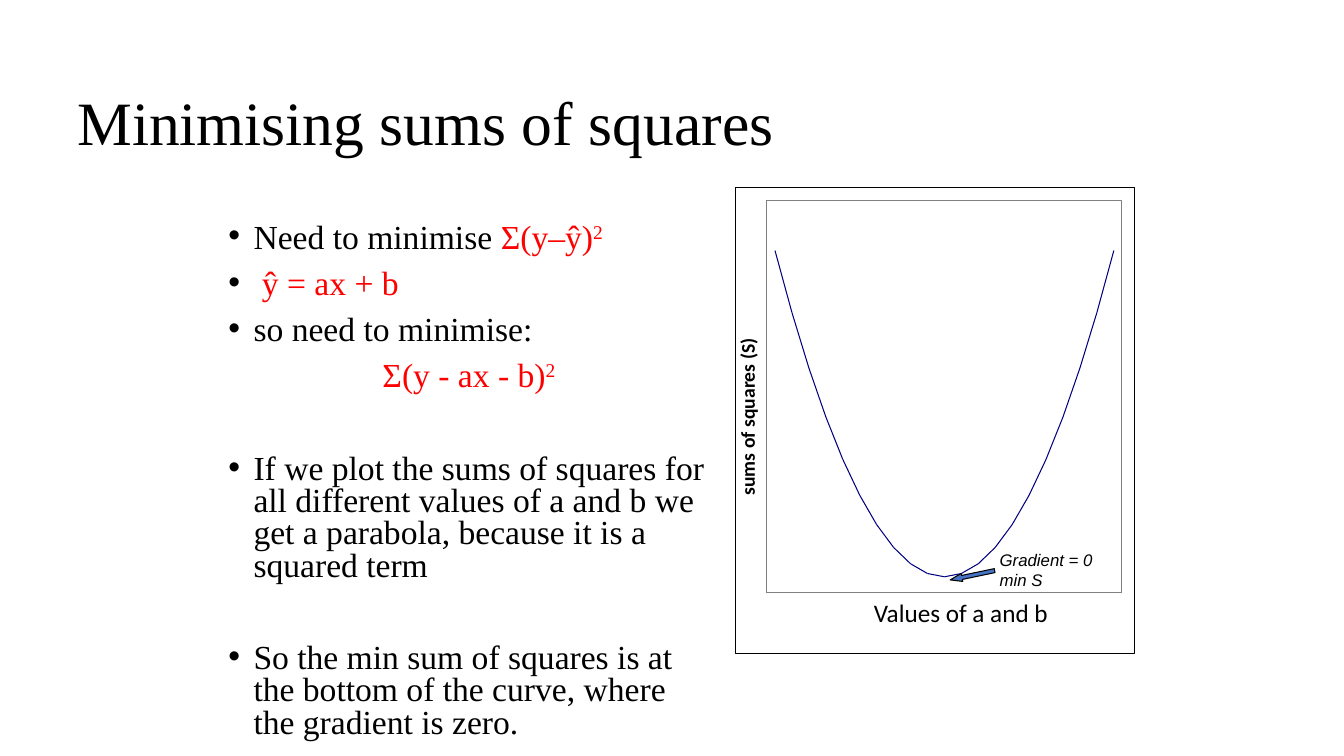
from dataclasses import dataclass
from itertools import pairwise

from lxml.etree import SubElement
from pptx import Presentation
from pptx.dml.color import RGBColor
from pptx.enum.shapes import MSO_CONNECTOR, MSO_SHAPE
from pptx.enum.text import MSO_ANCHOR, MSO_AUTO_SIZE, PP_ALIGN
from pptx.oxml.ns import qn
from pptx.shapes.autoshape import Shape
from pptx.slide import Slide
from pptx.text.text import TextFrame
from pptx.util import Pt

BLACK = RGBColor(0x00, 0x00, 0x00)
WHITE = RGBColor(0xFF, 0xFF, 0xFF)
RED = RGBColor(0xFF, 0x00, 0x00)
GREY = RGBColor(0x80, 0x80, 0x80)
NAVY = RGBColor(0x00, 0x00, 0x80)
BLUE = RGBColor(0x44, 0x72, 0xC4)

SERIF = "Times New Roman"
HALF_STEPS = 10
MINIMUM_X, MINIMUM_Y = 674.6, 412
STEP_X, CURVATURE = 12.1, 2.33


@dataclass(frozen=True)
class Box:
    left: float
    top: float
    width: float
    height: float

    def lengths(self) -> tuple[Pt, Pt, Pt, Pt]:
        return Pt(self.left), Pt(self.top), Pt(self.width), Pt(self.height)


@dataclass(frozen=True)
class Piece:
    text: str
    color: RGBColor = BLACK
    superscript: bool = False


@dataclass(frozen=True)
class Point:
    pieces: tuple[Piece, ...]
    space_before: float = 10
    bullet: bool = True


@dataclass(frozen=True)
class Label:
    box: Box
    lines: tuple[str, ...]
    font: str
    size: float
    bold: bool = False
    italic: bool = False
    rotation: float = 0
    wrap: bool = False
    inset_x: float = 0
    inset_y: float = 0


POINTS = (
    Point((Piece("Need to minimise "), Piece("Σ(y–ŷ)", RED), Piece("2", RED, True)), 0),
    Point((Piece(" "), Piece("ŷ = ax + b", RED))),
    Point((Piece("so need to minimise:"),)),
    Point((Piece("Σ(y - ax - b)", RED), Piece("2", RED, True)), bullet=False),
    Point((Piece("If we plot the sums of squares for all different values of a and b "
                 "we get a parabola, because it is a squared term"),), 43),
    Point((Piece("So the min sum of squares is at the bottom of the curve, "
                 "where the gradient is zero."),), 43),
)

AXIS_LABELS = (
    Label(Box(624.2, 427, 126, 21.6), ("Values of a and b",), "Calibri", 18),
    Label(Box(477.4, 288.7, 113, 17.3), ("sums of squares (S)",), "Calibri", 14,
          bold=True, rotation=270),
)
GRADIENT_LABEL = Label(Box(707, 388.8, 85, 36), ("Gradient = 0", "min S"), "Arial", 12,
                       italic=True, wrap=True, inset_x=7.2, inset_y=3.6)


def set_insets(frame: TextFrame, inset_x: float, inset_y: float) -> None:
    frame.margin_left = frame.margin_right = Pt(inset_x)
    frame.margin_top = frame.margin_bottom = Pt(inset_y)


def add_title(slide: Slide) -> None:
    title = slide.shapes.title
    title.left, title.top, title.width, title.height = Box(48, 36, 864, 108).lengths()
    title.text_frame.text = "Minimising sums of squares"
    title.text_frame.vertical_anchor = MSO_ANCHOR.MIDDLE
    paragraph = title.text_frame.paragraphs[0]
    paragraph.alignment = PP_ALIGN.LEFT
    paragraph.line_spacing = 0.9
    paragraph.font.name = SERIF
    paragraph.font.size = Pt(44)
    paragraph.font.color.rgb = BLACK


def add_points(slide: Slide) -> None:
    frame = slide.shapes.add_textbox(*Box(156, 156, 358, 369).lengths()).text_frame
    frame.word_wrap = True
    for index, point in enumerate(POINTS):
        paragraph = frame.add_paragraph() if index else frame.paragraphs[0]
        paragraph.line_spacing = 0.8
        paragraph.space_before = Pt(point.space_before)
        paragraph.alignment = PP_ALIGN.LEFT if point.bullet else PP_ALIGN.CENTER
        properties = paragraph._p.get_or_add_pPr()
        properties.set("marL", str(Pt(18)))
        properties.set("indent", str(Pt(-18)))
        if point.bullet:
            SubElement(properties, qn("a:buFont")).set("typeface", "Arial")
            SubElement(properties, qn("a:buChar")).set("char", "•")
        paragraph.font.name = SERIF
        paragraph.font.size = Pt(24)
        for piece in point.pieces:
            run = paragraph.add_run()
            run.text = piece.text
            run.font.color.rgb = piece.color
            if piece.superscript:
                run._r.get_or_add_rPr().set("baseline", "30000")


def add_outlined(slide: Slide, kind: MSO_SHAPE, box: Box, line: RGBColor,
                 width: float, fill: RGBColor | None = None) -> Shape:
    shape = slide.shapes.add_shape(kind, *box.lengths())
    shape.shadow.inherit = False
    if fill is None:
        shape.fill.background()
    else:
        shape.fill.solid()
        shape.fill.fore_color.rgb = fill
    shape.line.color.rgb = line
    shape.line.width = Pt(width)
    return shape


def add_parabola(slide: Slide) -> None:
    curve = [(Pt(MINIMUM_X + STEP_X * step), Pt(MINIMUM_Y - CURVATURE * step ** 2))
             for step in range(-HALF_STEPS, HALF_STEPS + 1)]
    for start, end in pairwise(curve):
        segment = slide.shapes.add_connector(MSO_CONNECTOR.STRAIGHT, *start, *end)
        segment.line.color.rgb = NAVY
        segment.line.width = Pt(0.75)
        SubElement(segment._element.spPr, qn("a:effectLst"))


def add_label(slide: Slide, label: Label) -> None:
    shape = slide.shapes.add_textbox(*label.box.lengths())
    shape.rotation = label.rotation
    frame = shape.text_frame
    frame.word_wrap = label.wrap
    frame.auto_size = MSO_AUTO_SIZE.SHAPE_TO_FIT_TEXT
    set_insets(frame, label.inset_x, label.inset_y)
    frame.text = "\n".join(label.lines)
    for paragraph in frame.paragraphs:
        paragraph.font.name = label.font
        paragraph.font.size = Pt(label.size)
        paragraph.font.bold = label.bold
        paragraph.font.italic = label.italic
        paragraph.font.color.rgb = BLACK


def add_plot(slide: Slide) -> None:
    add_outlined(slide, MSO_SHAPE.RECTANGLE, Box(525.6, 134, 284.6, 333), BLACK, 0, WHITE)
    add_outlined(slide, MSO_SHAPE.RECTANGLE, Box(547.4, 143.2, 254, 280), GREY, 0.75)
    add_parabola(slide)
    for label in AXIS_LABELS:
        add_label(slide, label)
    arrow = add_outlined(slide, MSO_SHAPE.RIGHT_ARROW, Box(678.4, 408, 32.4, 5.8),
                         BLACK, 0.75, BLUE)
    arrow.rotation = 168.2
    arrow.adjustments[0] = 0.5
    arrow.adjustments[1] = 1.47
    add_label(slide, GRADIENT_LABEL)


def main() -> None:
    presentation = Presentation()
    presentation.slide_width = Pt(960)
    presentation.slide_height = Pt(540)
    slide = presentation.slides.add_slide(presentation.slide_layouts.get_by_name("Title Only"))
    add_title(slide)
    add_points(slide)
    add_plot(slide)
    presentation.save("out.pptx")


if __name__ == "__main__":
    main()
